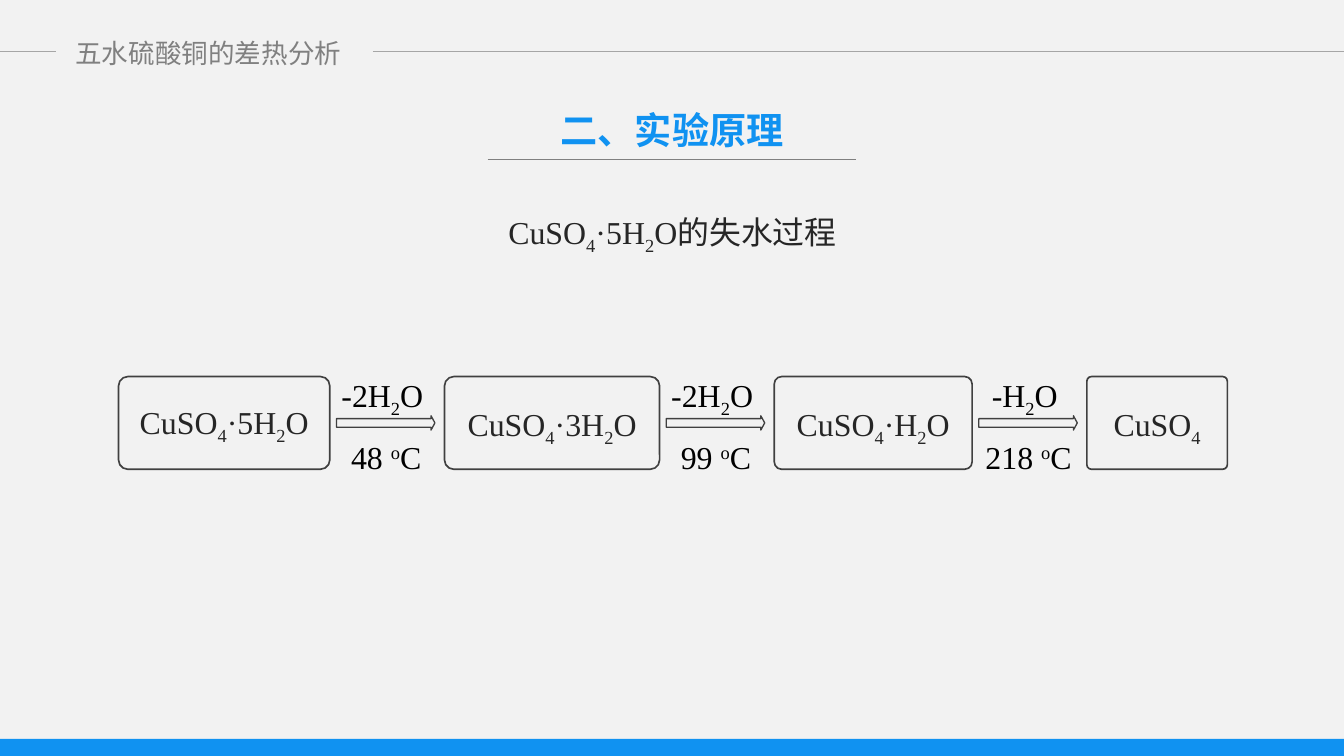
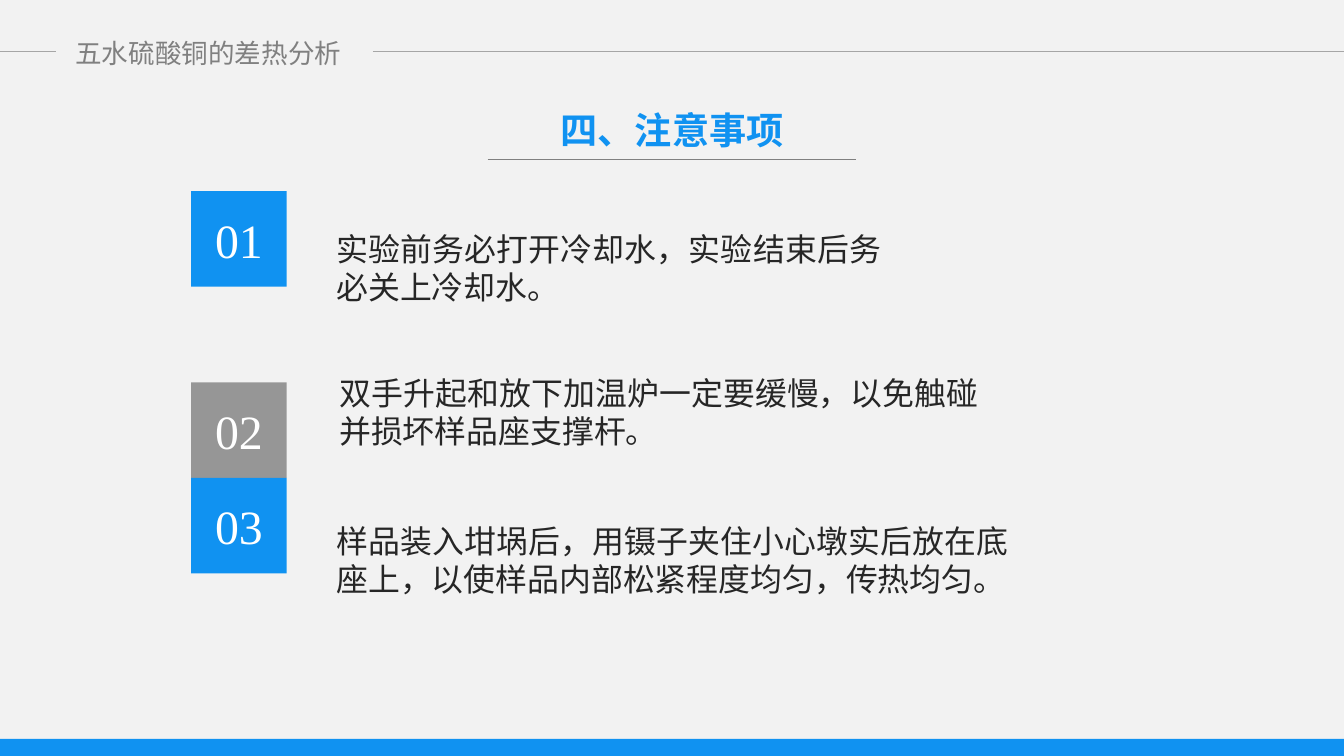
from math import cos, radians, sin

from lxml.etree import SubElement
from pptx import Presentation
from pptx.dml.color import RGBColor
from pptx.enum.shapes import MSO_CONNECTOR, MSO_SHAPE
from pptx.enum.text import MSO_ANCHOR, MSO_AUTO_SIZE, PP_ALIGN
from pptx.oxml.ns import qn
from pptx.util import Inches, Pt

# Shared style
WIDTH, HEIGHT = 14.06, 7.91
BLUE = RGBColor(0x10, 0x92, 0xF1)
PAPER = RGBColor(0xF2, 0xF2, 0xF2)
WHITE = RGBColor(0xFF, 0xFF, 0xFF)
BLACK = RGBColor(0x00, 0x00, 0x00)
INK = RGBColor(0x26, 0x26, 0x26)
OUTLINE = RGBColor(0x40, 0x40, 0x40)
HEADER_GRAY = RGBColor(0x80, 0x80, 0x80)
RULE_GRAY = RGBColor(0xA6, 0xA6, 0xA6)
HEXAGON_GRAY = RGBColor(0x96, 0x96, 0x96)
SERIF, SANS = "Times New Roman", "Arial"
BAND_HEIGHT = 0.18
HEADER_Y = 0.54
TITLE_WIDTH, UNDERLINE_WIDTH = 3, 3.86

# Content: "|" separates spans, "_" lowers a span and "^" raises it
HEADER = "五水硫酸铜的差热分析"
PRINCIPLE_TITLE = "二、实验原理"
PROCESS = "CuSO|_4|·5H|_2|O的失水过程"
COMPOUNDS = [  # formula, box width, corner share, top inset
    ("CuSO|_4|·5H|_2|O", 2.21, 0.1, 0.19),
    ("CuSO|_4|·3H|_2|O", 2.25, 0.1, 0.23),
    ("CuSO|_4|·H|_2|O", 2.07, 0.08, 0.23),
    ("CuSO|_4", 1.47, 0.05, 0.23),
]
STEPS = [  # water lost, temperature
    ("-2H|_2|O", "48 |^o|C"),
    ("-2H|_2|O", "99 |^o|C"),
    ("-H|_2|O", "218 |^o|C"),
]
NOTES_TITLE = "四、注意事项"
NOTES = [  # number, colour, hexagon centre, text left, text top, text width, text
    ("01", BLUE, 2.41, 3.42, 2.35, 5.9,
     "实验前务必打开冷却水，实验结束后务必关上冷却水。"),
    ("02", HEXAGON_GRAY, 2.41, 3.45, 3.86, 6.89,
     "双手升起和放下加温炉一定要缓慢，以免触碰并损坏样品座支撑杆。"),
    ("03", BLUE, 2.34, 3.42, 5.41, 7.23,
     "样品装入坩埚后，用镊子夹住小心墩实后放在底座上，以使样品内部松紧程度均匀，传热均匀。"),
]
BASELINES = {"_": "-25000", "^": "30000"}


def place(shape, left, top, width, height):
    shape.left, shape.top = Inches(left), Inches(top)
    shape.width, shape.height = Inches(width), Inches(height)


def write(shape, markup, size, color, font=SERIF, align=PP_ALIGN.CENTER,
          insets=(0, 0, 0, 0), anchor=MSO_ANCHOR.TOP, bold=False):
    frame = shape.text_frame
    frame.word_wrap = True
    frame.auto_size = MSO_AUTO_SIZE.NONE
    frame.vertical_anchor = anchor
    (frame.margin_left, frame.margin_top,
     frame.margin_right, frame.margin_bottom) = map(Inches, insets)
    para = frame.paragraphs[0]
    para.alignment = align
    for piece in markup.split("|"):
        span = para.add_run()
        span.text = piece.lstrip("_^")
        span.font.name, span.font.size = font, Pt(size)
        span.font.bold = bold
        span.font.color.rgb = color
        if piece[0] in BASELINES:
            span.font._element.set("baseline", BASELINES[piece[0]])
    return para


def add_text(page, at, markup, size, color, **style):
    box = page.shapes.add_textbox(*map(Inches, at))
    write(box, markup, size, color, **style)
    return box


def add_outline(page, kind, at, weight):
    shape = page.shapes.add_shape(kind, *map(Inches, at))
    shape.shadow.inherit = False
    shape.fill.background()
    shape.line.color.rgb = OUTLINE
    shape.line.width = Pt(weight)
    return shape


def add_rule(page, left, right, y, color):
    rule = page.shapes.add_connector(
        MSO_CONNECTOR.STRAIGHT, Inches(left), Inches(y), Inches(right), Inches(y))
    rule.line.color.rgb = color
    rule.line.width = Pt(1)
    SubElement(rule._element.spPr, qn("a:effectLst"))
    return rule


def add_page(deck, layout, title):
    page = deck.slides.add_slide(layout)
    place(page.shapes.title, (WIDTH - TITLE_WIDTH) / 2, 1.12, TITLE_WIDTH, 0.47)
    write(page.shapes.title, title, 28, BLUE, bold=True)
    return page


def furnish_layout(layout, page):
    """Draw the shared parts on a page, then move them to its layout."""
    layout.background.fill.solid()
    layout.background.fill.fore_color.rgb = PAPER
    band = page.shapes.add_shape(
        MSO_SHAPE.RECTANGLE, 0, Inches(HEIGHT - BAND_HEIGHT),
        Inches(WIDTH), Inches(BAND_HEIGHT))
    band.shadow.inherit = False
    band.fill.solid()
    band.fill.fore_color.rgb = BLUE
    band.line.fill.background()
    underline_left = (WIDTH - UNDERLINE_WIDTH) / 2
    shared = [
        band,
        add_text(page, (0.72, 0.38, 2.92, 0.34), HEADER, 20, HEADER_GRAY,
                 font=SANS, anchor=MSO_ANCHOR.MIDDLE),
        add_rule(page, 0, 0.59, HEADER_Y, RULE_GRAY),
        add_rule(page, 3.9, WIDTH, HEADER_Y, RULE_GRAY),
        add_rule(page, underline_left, underline_left + UNDERLINE_WIDTH, 1.67, HEADER_GRAY),
    ]
    for number, shape in enumerate(shared, start=100):
        shape._element.xpath(".//p:cNvPr")[0].set("id", str(number))
        layout.shapes._spTree.append(shape._element)


def draw_principle(page):
    add_text(page, (1.05, 2.22, 11.97, 0.4), PROCESS, 24, INK)
    box_top, box_height, gap = 3.94, 0.97, 1.2
    label_insets = (0.1, 0.05, 0.1, 0.05)
    left = 1.24
    for index, (formula, width, corner, inset) in enumerate(COMPOUNDS):
        box = add_outline(page, MSO_SHAPE.ROUNDED_RECTANGLE,
                          (left, box_top, width, box_height), 1.25)
        box.adjustments[0] = corner
        para = write(box, formula, 24, INK, insets=(0.1, inset, 0.1, 0.13),
                     anchor=MSO_ANCHOR.MIDDLE)
        para.line_spacing = 0.7
        left += width
        if index < len(STEPS):
            water, temperature = STEPS[index]
            arrow = add_outline(page, MSO_SHAPE.RIGHT_ARROW,
                                (left + 0.07, 4.35, 1.03, 0.15), 1)
            arrow.adjustments[0], arrow.adjustments[1] = 0.6, 0.27
            for label, center, top in ((water, 0.55, 3.88), (temperature, 0.59, 4.53)):
                add_text(page, (left + center - 0.7, top, 1.4, 0.5), label, 24, BLACK,
                         insets=label_insets)
        left += gap


def hexagon_points(center_x, center_y, radius=0.59, cut=0.1, steps=6):
    """Regular hexagon whose corners are rounded by quadratic curves."""
    corners = [(center_x + radius * cos(radians(60 * turn)),
                center_y + radius * sin(radians(60 * turn))) for turn in range(6)]
    points = []
    for turn, corner in enumerate(corners):
        before, after = corners[turn - 1], corners[(turn + 1) % 6]
        for step in range(steps + 1):
            share = step / steps
            pull_before, pull_after = cut * (1 - share) ** 2, cut * share ** 2
            points.append(tuple(
                c + pull_before * (b - c) + pull_after * (a - c)
                for c, b, a in zip(corner, before, after)))
    return points


def draw_notes(page):
    first_center, pitch = 2.9, 1.42
    for row, (number, color, center, left, top, width, note) in enumerate(NOTES):
        points = hexagon_points(center, first_center + row * pitch)
        builder = page.shapes.build_freeform(*points[0], scale=Inches(1))
        builder.add_line_segments(points[1:], close=True)
        hexagon = builder.convert_to_shape()
        hexagon.shadow.inherit = False
        hexagon.fill.solid()
        hexagon.fill.fore_color.rgb = color
        hexagon.line.fill.background()
        write(hexagon, number, 36, WHITE, anchor=MSO_ANCHOR.MIDDLE)
        add_text(page, (left, top, width, 0.91), note, 24, INK,
                 align=PP_ALIGN.JUSTIFY, insets=(0.1, 0.05, 0.1, 0.05))


def main():
    deck = Presentation()
    deck.slide_width, deck.slide_height = Inches(WIDTH), Inches(HEIGHT)
    layout = deck.slide_layouts.get_by_name("Title Only")
    principle = add_page(deck, layout, PRINCIPLE_TITLE)
    furnish_layout(layout, principle)
    draw_principle(principle)
    draw_notes(add_page(deck, layout, NOTES_TITLE))
    deck.save("out.pptx")


if __name__ == "__main__":
    main()
